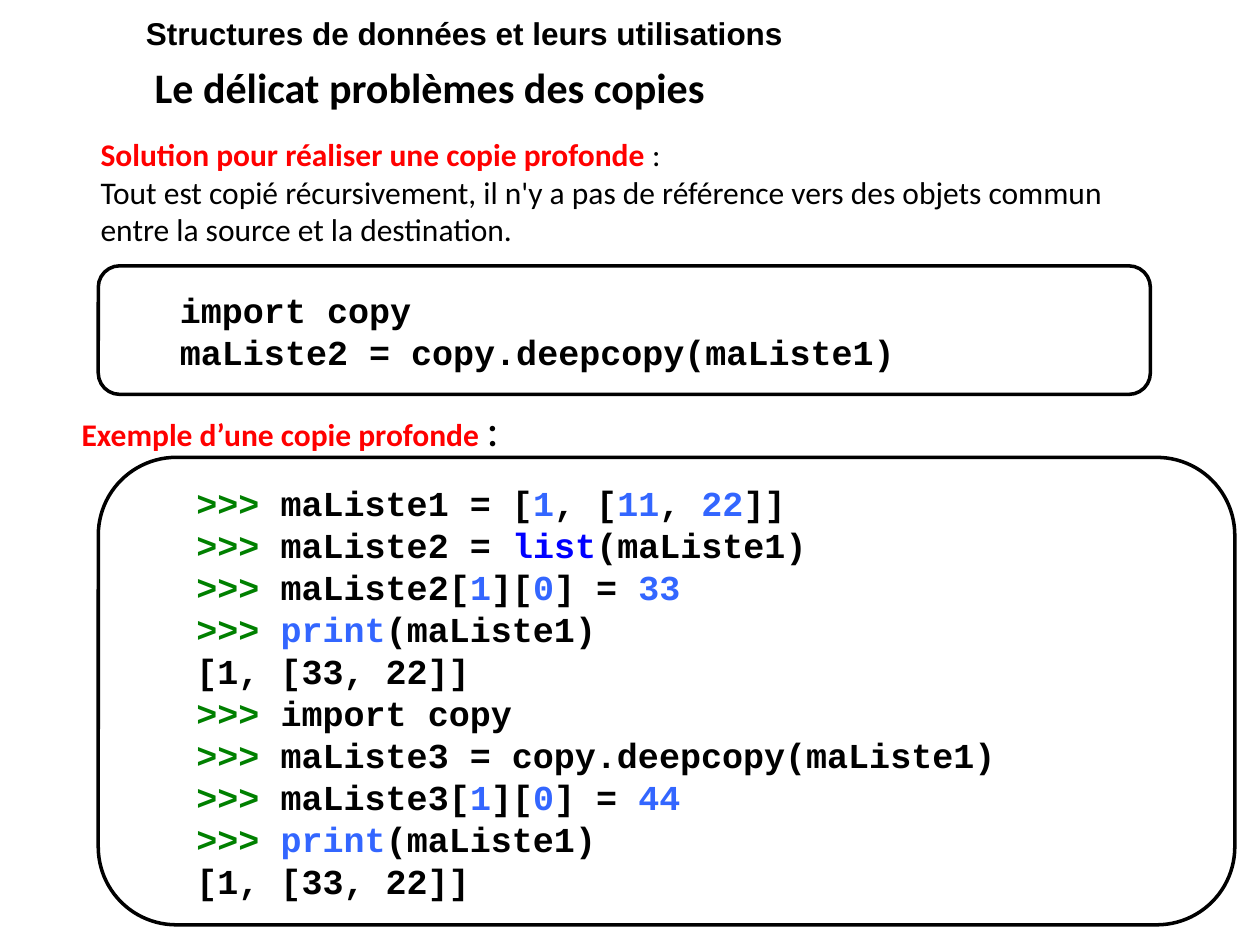
from pptx import Presentation
from pptx import util as u
from pptx.dml.color import RGBColor
from pptx.enum import shapes, text

BLACK, RED, GREEN = "000000", "FF0000", "008000"
BLUE, KEYWORD, WHITE = "3366FF", "0000FF", "FFFFFF"


def rgb(value):
    return RGBColor.from_string(value)


class Deck:
    """Holds the fonts and the current slide, and adds its elements."""

    body, code = "Calibri", "Courier New"

    def __init__(self, prs):
        self.s = prs.slides.add_slide(prs.slide_layouts[6])

    def run(self, p, content, font, size, color=BLACK, bold=True):
        r = p.add_run()
        r.text = content
        r.font.name, r.font.size, r.font.bold = font, u.Pt(size), bold
        r.font.color.rgb = rgb(color)

    def paragraphs(self, tf, count):
        return [tf.paragraphs[0]] + [tf.add_paragraph() for _ in range(count - 1)]

    def text_box(self, box, lines, font=body, anchor=text.MSO_ANCHOR.TOP):
        tf = self.s.shapes.add_textbox(*map(u.Inches, box)).text_frame
        tf.word_wrap = True
        tf.vertical_anchor = anchor
        for p, runs in zip(self.paragraphs(tf, len(lines)), lines):
            for content, *style in runs:
                self.run(p, content, font, *style)

    def code_box(self, box, lines):
        sp = self.s.shapes.add_shape(
            shapes.MSO_SHAPE.ROUNDED_RECTANGLE, *map(u.Inches, box))
        sp.shadow.inherit = False
        sp.fill.solid()
        sp.fill.fore_color.rgb = rgb(WHITE)
        sp.line.color.rgb = rgb(BLACK)
        sp.line.width = u.Pt(2)
        tf = sp.text_frame
        tf.word_wrap = True
        tf.vertical_anchor = text.MSO_ANCHOR.MIDDLE
        for p, runs in zip(self.paragraphs(tf, len(lines)), lines):
            p.level = 1
            p.alignment = text.PP_ALIGN.LEFT
            pPr = p._p.get_or_add_pPr()
            pPr.set("marL", str(u.Inches(0.5)))
            pPr.set("indent", "0")
            for content, *color in runs:
                self.run(p, content, self.code, 20, *color)


def prompt(*runs):
    return [(">>> ", GREEN), *runs]


def assign_nested(name, value):
    return prompt((name + "[",), ("1", BLUE), ("][",), ("0", BLUE),
                  ("] = ",), (value, BLUE))


def main():
    prs = Presentation()
    prs.slide_width, prs.slide_height = u.Inches(10), u.Inches(7.5)
    deck = Deck(prs)

    deck.text_box((1.06, 0.06, 8.94, 0.4),
                  [[("Structures de données et leurs utilisations", 18)]], "Arial")
    deck.text_box((1.13, 0.44, 8.87, 0.49),
                  [[("Le délicat problèmes des copies", 24)]],
                  anchor=text.MSO_ANCHOR.MIDDLE)
    deck.text_box((0.7, 1.02, 8.59, 1.11), [
        [("Solution pour réaliser une copie profonde ", 18, RED),
         (":", 18, BLACK, False)],
        [("Tout est copié récursivement, il n'y a pas de référence vers des "
          "objets commun entre la source et la destination.", 18, BLACK, False)],
    ])
    deck.code_box((0.78, 2.11, 8.35, 1.02), [
        [("import copy",)],
        [("maListe2 = copy.deepcopy(maListe1)",)],
    ])
    deck.text_box((0.55, 3.13, 9.23, 0.5), [
        [("Exemple d’une copie profonde ", 18, RED), (":", 26, BLACK, False)],
    ])

    show = [prompt(("print", BLUE), ("(maListe1)",)), [("[1, [33, 22]]",)]]
    deck.code_box((0.78, 3.63, 9.02, 3.71), [
        prompt(("maListe1 = [",), ("1", BLUE), (", [",), ("11", BLUE),
               (", ",), ("22", BLUE), ("]]",)),
        prompt(("maListe2 = ",), ("list", KEYWORD), ("(maListe1)",)),
        assign_nested("maListe2", "33"),
        *show,
        prompt(("import copy",)),
        prompt(("maListe3 = copy.deepcopy(maListe1)",)),
        assign_nested("maListe3", "44"),
        *show,
    ])
    prs.save("out.pptx")


if __name__ == "__main__":
    main()
